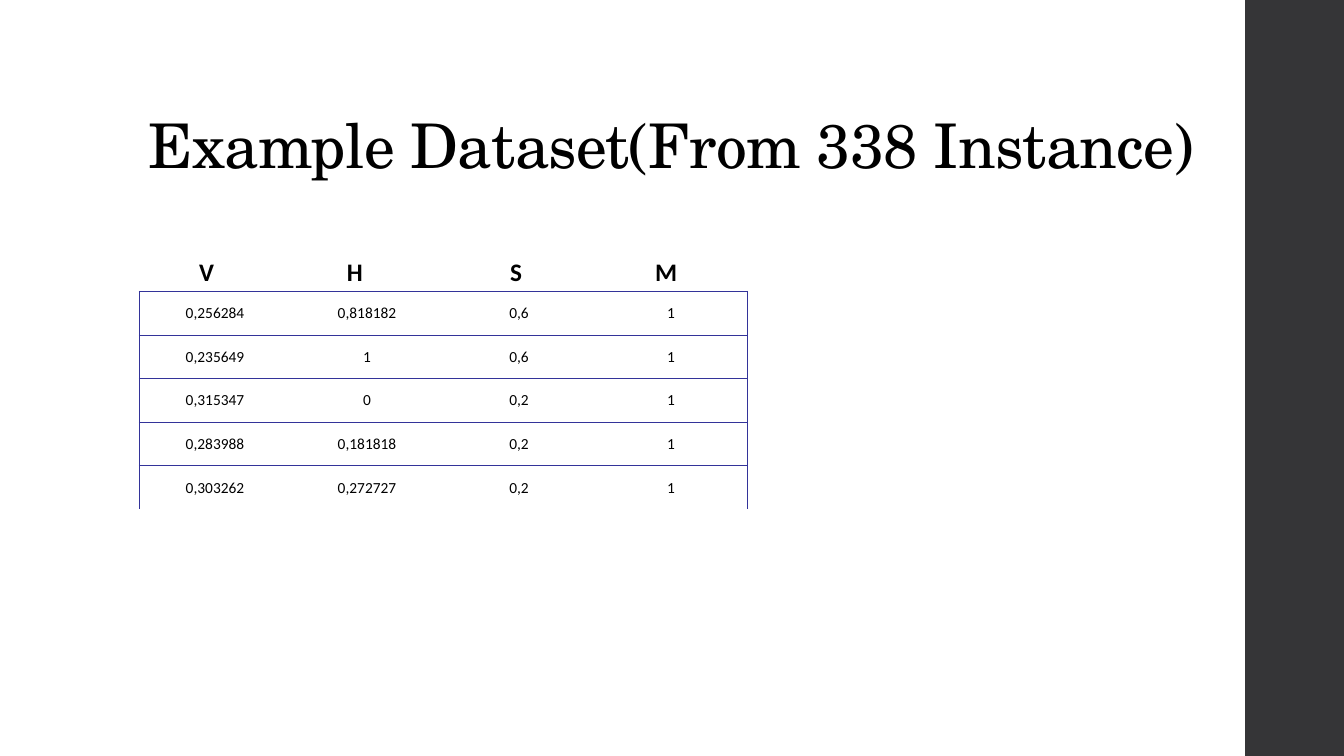
"""Build the example dataset slide with its title, column headings and table."""
import dataclasses

import lxml.etree
import pptx
import pptx.dml.color
import pptx.enum.shapes
import pptx.enum.text
import pptx.oxml.ns
import pptx.util

SLIDE_WIDTH = pptx.util.Inches(13.33)
SLIDE_HEIGHT = pptx.util.Inches(7.5)
TABLE_LEFT, TABLE_WIDTH = 10.35, 45.24
HEADINGS = {"V": 0.57, "H": 2.04, "S": 3.64, "M": 5.13}
INSTANCES = [
    ("0,256284", "0,818182", "0,6", "1"),
    ("0,235649", "1", "0,6", "1"),
    ("0,315347", "0", "0,2", "1"),
    ("0,283988", "0,181818", "0,2", "1"),
    ("0,303262", "0,272727", "0,2", "1"),
]


@dataclasses.dataclass(frozen=True)
class Theme:
    """Colours, fonts and type sizes of the slide."""
    ink: str = "000000"
    band: str = "353537"
    rule: str = "333399"
    rule_width: float = 0.5
    title_font: str = "TeX Gyre Schola"
    body_font: str = "Calibri"
    title_size: int = 44
    heading_size: int = 18
    cell_size: int = 11


THEME = Theme()


def colour(value):
    """Return the RGB colour of a hexadecimal value."""
    return pptx.dml.color.RGBColor.from_string(value)


def area(left, top, width, height):
    """Turn percentages of the slide into a position and size."""
    return (int(SLIDE_WIDTH * left / 100), int(SLIDE_HEIGHT * top / 100),
            int(SLIDE_WIDTH * width / 100), int(SLIDE_HEIGHT * height / 100))


def add_element(parent, tag, **attributes):
    """Append a drawing element with the given attributes."""
    element = lxml.etree.SubElement(parent, pptx.oxml.ns.qn(tag))
    for name, value in attributes.items():
        element.set(name, str(value))
    return element


def style_font(paragraph, name, size, bold=False):
    """Set the typeface of a whole paragraph."""
    paragraph.font.name = name
    paragraph.font.size = pptx.util.Pt(size)
    paragraph.font.bold = bold
    paragraph.font.color.rgb = colour(THEME.ink)


def add_band(slide, place):
    """Add a plain dark band."""
    band = slide.shapes.add_shape(pptx.enum.shapes.MSO_SHAPE.RECTANGLE, *place)
    band.shadow.inherit = False
    band.fill.solid()
    band.fill.fore_color.rgb = colour(THEME.band)
    band.line.fill.background()


def add_text(slide, place, text, anchor):
    """Add a wrapping text box and return its paragraph."""
    frame = slide.shapes.add_textbox(*place).text_frame
    frame.word_wrap = True
    frame.vertical_anchor = anchor
    frame.text = text
    return frame.paragraphs[0]


def add_title(slide, place, text):
    """Add the slide title, resting on the bottom of its box."""
    paragraph = add_text(slide, place, text, pptx.enum.text.MSO_ANCHOR.BOTTOM)
    paragraph.line_spacing = 0.9
    style_font(paragraph, THEME.title_font, THEME.title_size)
    for run in paragraph.runs:
        run.font._element.set("spc", "-50")


def add_headings(slide, place, headings):
    """Add column headings centred on tab stops."""
    text = "".join("\t" + heading for heading in headings)
    paragraph = add_text(slide, place, text, pptx.enum.text.MSO_ANCHOR.TOP)
    tabs = add_element(paragraph._p.get_or_add_pPr(), "a:tabLst")
    for position in headings.values():
        add_element(tabs, "a:tab", pos=pptx.util.Inches(position), algn="ctr")
    style_font(paragraph, THEME.body_font, THEME.heading_size, bold=True)


def set_borders(cell, ruled):
    """Rule the sides marked true and clear the others."""
    properties = cell._tc.get_or_add_tcPr()
    for side, visible in ruled.items():
        line = add_element(properties, "a:ln" + side, w=pptx.util.Pt(THEME.rule_width))
        if visible:
            add_element(add_element(line, "a:solidFill"), "a:srgbClr", val=THEME.rule)
        else:
            add_element(line, "a:noFill")


def fill_cell(cell, text):
    """Write one centred value into a cell."""
    cell.text = text
    cell.vertical_anchor = pptx.enum.text.MSO_ANCHOR.MIDDLE
    cell.margin_left = cell.margin_right = cell.margin_top = pptx.util.Inches(0.01)
    cell.margin_bottom = 0
    paragraph = cell.text_frame.paragraphs[0]
    paragraph.alignment = pptx.enum.text.PP_ALIGN.CENTER
    style_font(paragraph, THEME.body_font, THEME.cell_size)


def add_data_table(slide, place, rows):
    """Add a table with row rules and open at the bottom."""
    last_row, last_column = len(rows) - 1, len(rows[0]) - 1
    table = slide.shapes.add_table(len(rows), len(rows[0]), *place).table
    table.first_row = table.horz_banding = False
    for row, values in enumerate(rows):
        for column, value in enumerate(values):
            cell = table.cell(row, column)
            fill_cell(cell, value)
            set_borders(cell, {"L": column == 0, "R": column == last_column,
                               "T": True, "B": row < last_row})
            cell.fill.background()


def main():
    """Build and save the presentation."""
    presentation = pptx.Presentation()
    presentation.slide_width = SLIDE_WIDTH
    presentation.slide_height = SLIDE_HEIGHT
    slide = presentation.slides.add_slide(presentation.slide_layouts[6])
    add_band(slide, area(92.65, 0, 7.5, 100))
    add_title(slide, area(TABLE_LEFT, 5.33, 79.52, 19.33),
              "Example Dataset(From 338 Instance)")
    add_data_table(slide, area(TABLE_LEFT, 38.53, TABLE_WIDTH, 28.8), INSTANCES)
    add_headings(slide, area(TABLE_LEFT, 33.2, TABLE_WIDTH, 5.33), HEADINGS)
    presentation.save("out.pptx")


if __name__ == "__main__":
    main()
